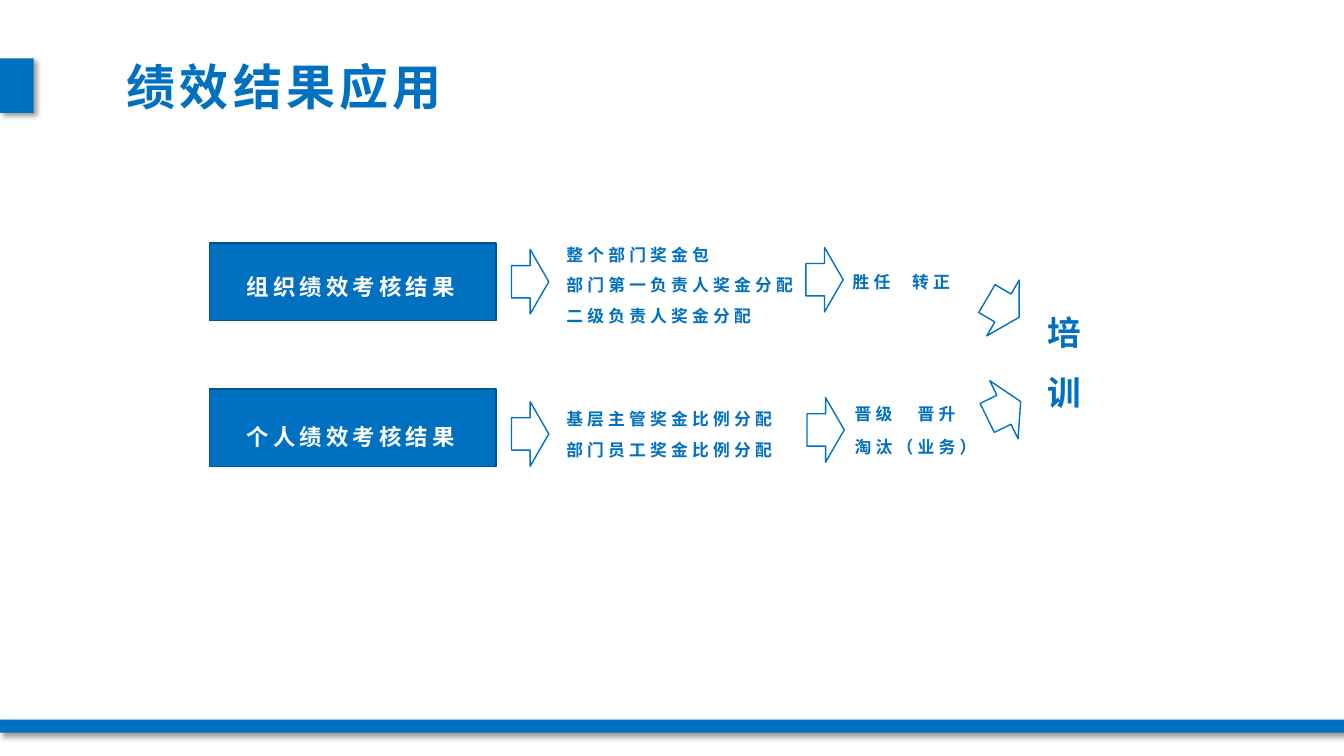
import dataclasses

import lxml.etree
import pptx
import pptx.dml.color
import pptx.enum.shapes
import pptx.enum.text
import pptx.oxml.ns
import pptx.util

RGB = pptx.dml.color.RGBColor.from_string
Pt = pptx.util.Pt
SHAPE = pptx.enum.shapes.MSO_SHAPE
TEXT = pptx.enum.text
qn = pptx.oxml.ns.qn


@dataclasses.dataclass(frozen=True)
class Theme:
    blue: str = "0070C0"
    edge: str = "00538E"
    white: str = "FFFFFF"
    shade: str = "000000"
    latin: str = "Lato"
    asian: str = "Noto Sans CJK SC"
    title: int = 35
    goal: int = 24
    label: int = 16
    body: int = 12
    track: int = 300


THEME = Theme()
WIDE = pptx.util.Inches(13.333)
HIGH = pptx.util.Inches(7.5)


def apply(target, form):
    for name, value in form.items():
        setattr(target, name, value)


def place(x, y, w, h):
    return [round(share * size / 100)
            for share, size in zip((x, y, w, h), (WIDE, HIGH, WIDE, HIGH))]


def write(shape, lines, size, color=THEME.blue, face=THEME.asian,
          wrap=True, align=None, space=1.5):
    frame = shape.text_frame
    apply(frame, {
        "text": "\n".join(lines),
        "word_wrap": wrap,
        "auto_size": TEXT.MSO_AUTO_SIZE.SHAPE_TO_FIT_TEXT,
        "vertical_anchor": TEXT.MSO_ANCHOR.TOP,
    })
    for para in frame.paragraphs:
        apply(para, {"alignment": align, "line_spacing": space})
        for run in para.runs:
            apply(run.font, {"size": Pt(size), "bold": True, "name": face})
            run.font.color.rgb = RGB(color)
            props = run.font._element
            props.set("spc", str(THEME.track))
            lxml.etree.SubElement(props, qn("a:ea"), typeface=THEME.asian)


def add_text(slide, spot, lines, size=THEME.body, **form):
    write(slide.shapes.add_textbox(*place(*spot)), lines, size, **form)


def add_title(slide, spot, words):
    title = slide.shapes.title
    apply(title, dict(zip(("left", "top", "width", "height"), place(*spot))))
    write(title, [words], THEME.title, face=THEME.latin, wrap=False,
          align=TEXT.PP_ALIGN.CENTER, space=1.0)


def add_form(slide, kind, spot, fill, edge=None, turn=0):
    shape = slide.shapes.add_shape(kind, *place(*spot))
    apply(shape, {"rotation": turn})
    shape.shadow.inherit = False
    shape.fill.solid()
    shape.fill.fore_color.rgb = RGB(fill)
    if edge:
        shape.line.color.rgb = RGB(edge)
        shape.line.width = Pt(1)
    else:
        shape.line.fill.background()
    return shape


def add_band(slide, spot):
    band = add_form(slide, SHAPE.RECTANGLE, spot, THEME.blue)
    list_tag = band._element.spPr.find(qn("a:effectLst"))
    shade = lxml.etree.SubElement(
        list_tag, qn("a:outerShdw"), blurRad=str(Pt(4)), dist=str(Pt(3)),
        dir=str(45 * 60000), algn="tl", rotWithShape="0")
    color = lxml.etree.SubElement(shade, qn("a:srgbClr"), val=THEME.shade)
    lxml.etree.SubElement(color, qn("a:alpha"), val="40000")


def add_box(slide, top, label_top, words):
    add_form(slide, SHAPE.RECTANGLE, (15.6, top, 21.3, 10.27),
             THEME.blue, THEME.edge)
    add_text(slide, (17.63, label_top, 18.6, 6.13), [words],
             THEME.label, color=THEME.white)


def add_arrow(slide, x, y, turn=270):
    add_form(slide, SHAPE.DOWN_ARROW, (x, y, 4.8, 4.93),
             THEME.white, THEME.blue, turn)


def main():
    deck = pptx.Presentation()
    apply(deck, {"slide_width": WIDE, "slide_height": HIGH})
    slide = deck.slides.add_slide(deck.slide_layouts[5])

    add_band(slide, (0, 7.73, 2.5, 7.2))
    add_title(slide, (8.4, 6.8, 25.5, 9.2), "绩效结果应用")
    add_band(slide, (0, 95.2, 100, 1.73))

    add_box(slide, 32.13, 33.73, "组织绩效考核结果")
    add_box(slide, 51.47, 53.6, "个人绩效考核结果")

    notes = [
        ((41.4, 30.4, 19.88, 12.93),
         ["整个部门奖金包", "部门第一负责人奖金分配", "二级负责人奖金分配"]),
        ((41.4, 52.13, 25.13, 8.93),
         ["基层主管奖金比例分配", "部门员工奖金比例分配"]),
        ((62.85, 51.47, 10.65, 4.93), ["晋级　晋升"]),
        ((67.13, 34, 5.33, 4.93), ["转正"]),
        ((62.7, 34, 6.38, 4.93), ["胜任"]),
        ((62.85, 55.73, 14.78, 5.33), ["淘汰（业务）"]),
    ]
    for spot, lines in notes:
        add_text(slide, spot, lines)

    for x, y in ((37.05, 34.8), (37.05, 54.93), (58.95, 34.53), (59.03, 54.4)):
        add_arrow(slide, x, y)
    add_arrow(slide, 72.3, 51.73, 244)
    add_arrow(slide, 72.23, 38.27, 300.2)
    add_text(slide, (77.18, 37.87, 5.33, 16.53), ["培训"], THEME.goal)

    deck.save("out.pptx")


if __name__ == "__main__":
    main()
